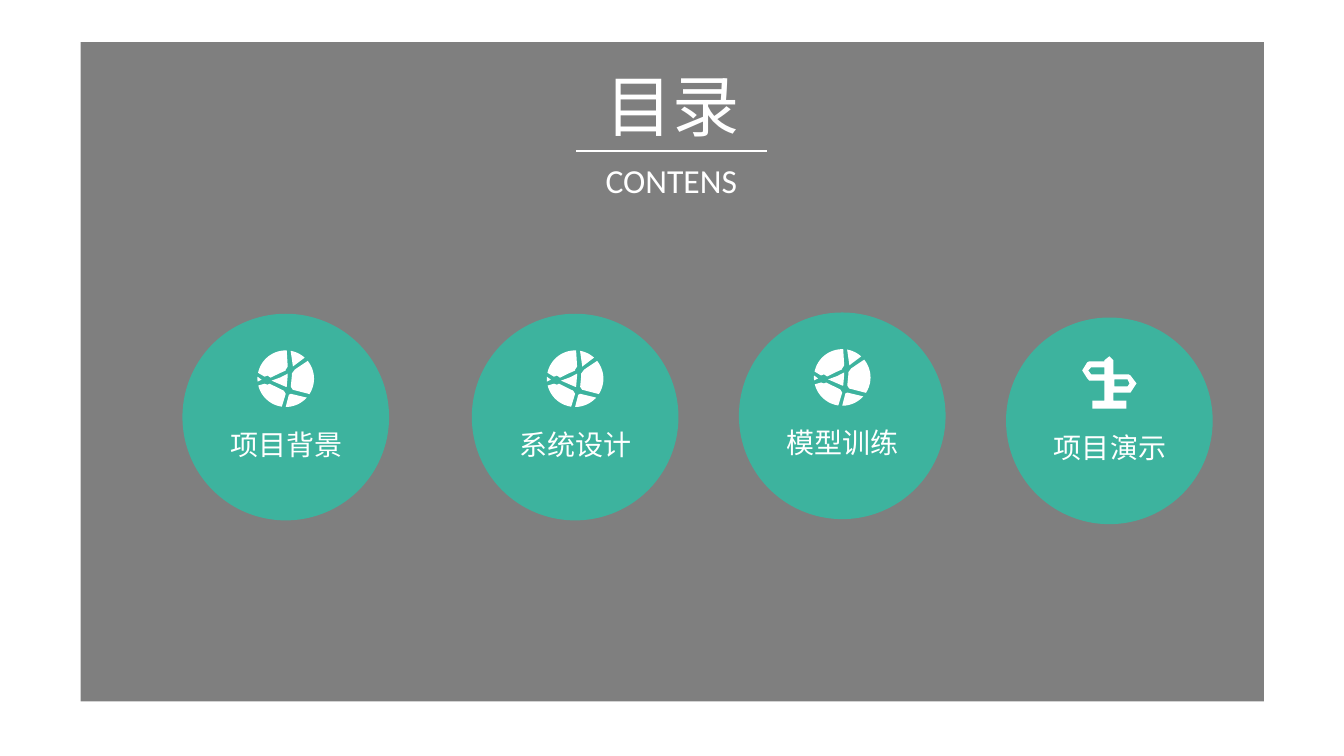
from math import cos, radians, sin

from lxml.etree import SubElement
from pptx import Presentation
from pptx.dml.color import RGBColor
from pptx.enum.shapes import MSO_CONNECTOR, MSO_SHAPE
from pptx.enum.text import MSO_ANCHOR, MSO_AUTO_SIZE, PP_ALIGN
from pptx.oxml.ns import qn
from pptx.util import Pt

COLORS = {"panel": "000000", "disc": "3DB39E", "ink": "FFFFFF"}
RADIUS = 73.8
GLOBE = [
    ((192, 272), [(1.4, -8.6), (0, -6.5), (0, -5.8), (-5, -3.6),
                  (-10.8, -0.7), (-13, -2.2), (-15.1, -1.4)]),
    ((280, 312), [(5, -8.6), (5, -9.4)]),
    ((321, 393), [(5, 7.9), (3.6, 5.8), (4.3, -1.4), (4.3, -3.6), (6.5, -6.5)]),
    ((42, 90), [(2.2, 11.5), (3.6, 10.8)]),
    ((98, 166), [(-15.1, 3.6), (-13, 4.3), (-11.5, 3.6), (-1.4, 8.6), (0, 10.8)]),
    ((174, 184), [(-17.3, 0.7)]),
    (None, [(1.4, -3.6), (-3.6, -1), (-10.1, 1.4), (0, 5.8), (0.7, 5.8), (1.4, -2.2)]),
]
SIGN = [
    [(-3.6, -10.8), (-13, -10.8), (-15.1, -8.6), (-13, -5.8), (-3.6, -5.8)],
    [(2.9, -5.8), (13.7, -5.8), (15.1, -5), (19.4, 0.7), (15.1, 7.2), (13.7, 7.2),
     (2.9, 7.2), (2.9, 13), (12.2, 13), (12.2, 18.7), (-12.2, 18.7), (-12.2, 13),
     (-3.6, 13), (-3.6, -1.4), (-14.4, -1.4), (-15.8, -2.9), (-19.4, -8.6),
     (-15.8, -14.4), (-14.4, -15.1), (-3.6, -15.1), (-3.6, -15.8), (0, -18.7),
     (2.9, -15.8)],
    [(13, -2.2), (3.6, -2.2), (3.6, 2.9), (13, 2.9), (14.4, 0.7)],
]


def arc(span, radius=20.2, steps=16):
    """Return points along a circle between two angles."""
    start, end = span
    turns = [radians(start + (end - start) * i / steps) for i in range(steps + 1)]
    return [(radius * cos(t), radius * sin(t)) for t in turns]


class Deck:
    """Hold the style and the current slide."""

    def __init__(self):
        """Open a wide deck with one title slide."""
        self.deck = Presentation()
        self.deck.slide_width, self.deck.slide_height = Pt(960), Pt(540)
        self.slide = self.deck.slides.add_slide(self.deck.slide_layouts[5])
        self.shapes = self.slide.shapes

    def paint(self, shape, color):
        """Give a shape a flat fill and no line or shadow."""
        shape.shadow.inherit = False
        shape.fill.solid()
        shape.fill.fore_color.rgb = RGBColor.from_string(COLORS[color])
        shape.line.fill.background()

    def label(self, box, text, size, face="Calibri"):
        """Set one centred line of text in a box."""
        frame = box.text_frame
        frame.text = text
        frame.word_wrap = True
        frame.auto_size = MSO_AUTO_SIZE.NONE
        frame.vertical_anchor = MSO_ANCHOR.TOP
        line = frame.paragraphs[0]
        line.alignment = PP_ALIGN.CENTER
        line.font.size = Pt(size)
        line.font.name = face
        line.font.color.rgb = RGBColor.from_string(COLORS["ink"])
        if face != "Calibri":
            SubElement(line.font._element, qn("a:ea"), typeface=face)

    def title(self, text, size, face, *rect):
        """Move and fill the title placeholder."""
        box = self.shapes.title
        box.left, box.top, box.width, box.height = map(Pt, rect)
        self.label(box, text, size, face)

    def text(self, home, text, size, *rect):
        """Add a text box."""
        self.label(home.add_textbox(*map(Pt, rect)), text, size)

    def panel(self, *rect):
        """Add the half-clear panel behind the title."""
        shape = self.shapes.add_shape(MSO_SHAPE.RECTANGLE, *map(Pt, rect))
        self.paint(shape, "panel")
        tint = shape.element.spPr.find(".//" + qn("a:srgbClr"))
        SubElement(tint, qn("a:alpha"), val="50000")
        self.shapes.title.element.addprevious(shape.element)

    def rule(self, left, right, y):
        """Add a level line."""
        line = self.shapes.add_connector(
            MSO_CONNECTOR.STRAIGHT, Pt(left), Pt(y), Pt(right), Pt(y))
        line.line.color.rgb = RGBColor.from_string(COLORS["ink"])
        line.line.width = Pt(1.5)
        SubElement(line.element.spPr, qn("a:effectLst"))

    def icon(self, home, parts, x, y):
        """Draw closed outlines about a centre."""
        pen = None
        for part in parts:
            spots = [(Pt(x + dx), Pt(y + dy)) for dx, dy in part]
            if pen is None:
                pen = home.build_freeform(*spots[0])
            else:
                pen.move_to(*spots[0])
            pen.add_line_segments(spots[1:], close=True)
        self.paint(pen.convert_to_shape(), "ink")

    def topic(self, name, parts, x, y):
        """Add a disc with its icon and label."""
        home = self.shapes.add_group_shape().shapes
        disc = home.add_shape(MSO_SHAPE.OVAL, Pt(x - RADIUS), Pt(y - RADIUS),
                              Pt(2 * RADIUS), Pt(2 * RADIUS))
        self.paint(disc, "disc")
        self.icon(home, parts, x, y - 27.4)
        self.text(home, name, 20, x - 79, y + 3.7, 159, 31.7)

    def save(self):
        """Save the deck."""
        self.deck.save("out.pptx")


def main():
    """Build the contents slide."""
    deck = Deck()
    deck.panel(57.6, 30.2, 845.3, 470.9)
    deck.title("目录", 48, "Noto Sans CJK SC", 376.6, 42.5, 207.4, 65.5)
    deck.rule(411.8, 547.9, 108)
    deck.text(deck.shapes, "CONTENS", 24, 400.3, 110.9, 158.4, 36)
    globe = [(arc(span) if span else []) + rest for span, rest in GLOBE]
    topics = [
        ("项目演示", SIGN, 792.4, 300.6),
        ("模型训练", globe, 601.6, 297),
        ("项目背景", globe, 204.1, 297.9),
        ("系统设计", globe, 410.8, 297.9),
    ]
    for topic in topics:
        deck.topic(*topic)
    deck.save()


if __name__ == "__main__":
    main()
